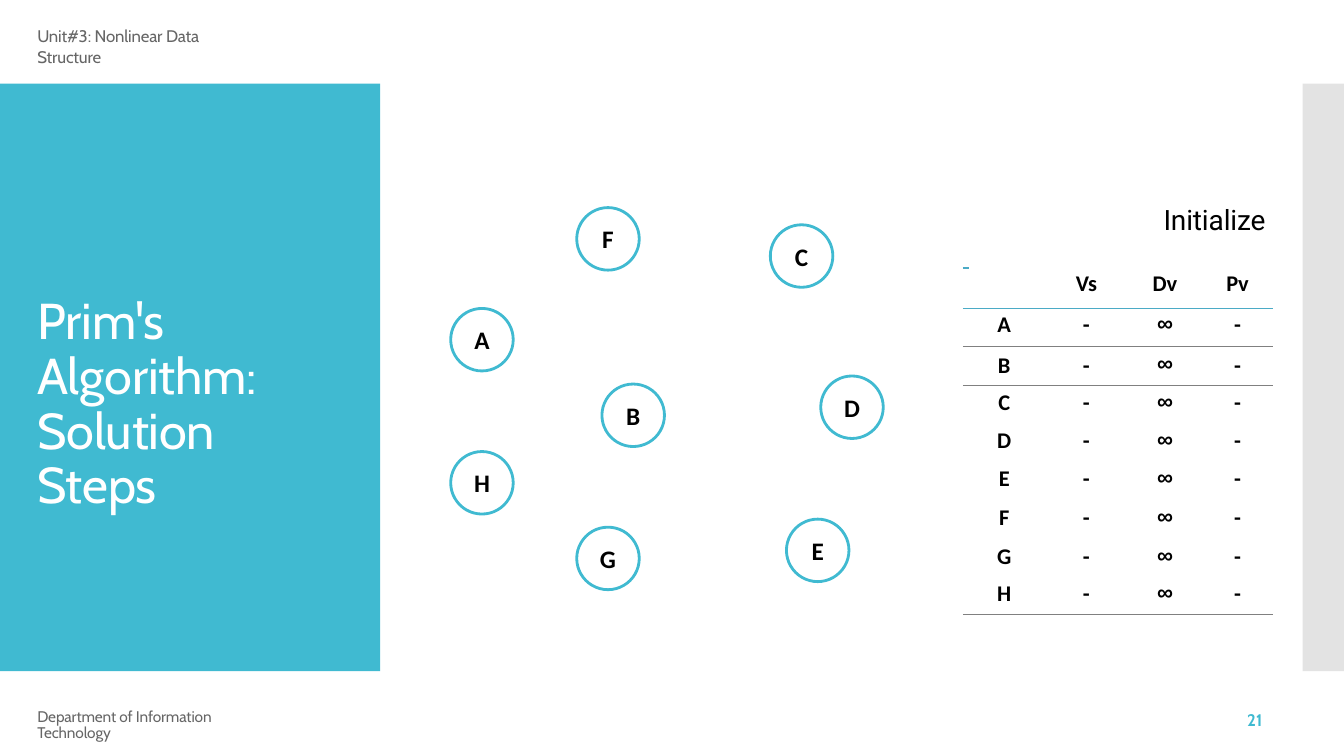
from pptx import Presentation
from pptx import util as u
from pptx.dml.color import RGBColor
from pptx.enum import shapes, text
from pptx.oxml import parse_xml
from pptx.oxml.ns import nsdecls

TEAL, RULE, GREY, BLACK, WHITE = "40BAD1", "4BABC6", "808080", "000000", "FFFFFF"
NO_GRID_STYLE = "{2D5ABB26-0587-4C30-8999-92F81FD0307C}"


def rgb(value):
    return RGBColor.from_string(value)


def write(frame, words, size=18, font="Calibri", color=BLACK, bold=False,
          align=text.PP_ALIGN.LEFT, before=0, leading=None, tracking=0):
    """Fill the frame's first paragraph; tracking is in hundredths of a point."""
    para = frame.paragraphs[0]
    para.alignment = align
    para.space_before = u.Pt(before)
    if leading:
        para.line_spacing = u.Pt(leading)
    span = para.add_run()
    span.text = words
    span.font.size = u.Pt(size)
    span.font.name = font
    span.font.bold = bold
    span.font.color.rgb = rgb(color)
    if tracking:
        span.font._element.set("spc", str(tracking))


def set_margins(target, left=0, top=0):
    target.margin_left, target.margin_top = u.Inches(left), u.Inches(top)
    target.margin_right = target.margin_bottom = 0


def rule_cell(cell, side, color, width):
    """Draw one cell edge; side is T or B."""
    edge = parse_xml(
        f'<a:ln{side} {nsdecls("a")} w="{u.Pt(width)}"><a:solidFill>'
        f'<a:srgbClr val="{color}"/></a:solidFill></a:ln{side}>')
    cell._tc.get_or_add_tcPr().insert(0, edge)


class SlideBuilder:
    def __init__(self, slide):
        self.shapes = slide.shapes

    def shape(self, kind, left, top, width, height, fill=None, line=None):
        shape = self.shapes.add_shape(kind, *map(u.Inches, (left, top, width, height)))
        shape.shadow.inherit = False
        if fill:
            shape.fill.solid()
            shape.fill.fore_color.rgb = rgb(fill)
        else:
            shape.fill.background()
        if line:
            shape.line.color.rgb = rgb(line)
            shape.line.width = u.Pt(2)
        else:
            shape.line.fill.background()
        return shape

    def panel(self, left, width, fill):
        self.shape(shapes.MSO_SHAPE.RECTANGLE, left, 0.83, width, 5.83, fill=fill)

    def node(self, letter, left, top):
        circle = self.shape(shapes.MSO_SHAPE.OVAL, left, top, 0.62, 0.62, line=TEAL)
        frame = circle.text_frame
        set_margins(frame)
        frame.vertical_anchor = text.MSO_ANCHOR.MIDDLE
        write(frame, letter, bold=True, align=text.PP_ALIGN.CENTER)

    def label(self, words, left, top, width, height, inset=0, **style):
        box = self.shapes.add_textbox(*map(u.Inches, (left, top, width, height)))
        frame = box.text_frame
        frame.word_wrap = True
        set_margins(frame, top=inset)
        write(frame, words, **style)

    def dash(self, left, top, width):
        line = self.shapes.add_connector(
            shapes.MSO_CONNECTOR.STRAIGHT,
            *map(u.Inches, (left, top, left + width, top)))
        line.line.color.rgb = rgb(RULE)
        line.line.width = u.Pt(1.5)
        line._element.spPr.append(parse_xml(f'<a:effectLst {nsdecls("a")}/>'))

    def vertex_table(self, headings, letters, left, top, widths):
        heights = [0.32] + [0.38] * len(letters)
        frame = self.shapes.add_table(
            len(heights), len(widths),
            *map(u.Inches, (left, top, sum(widths), sum(heights))))
        table = frame.table
        table.first_row = table.horz_banding = False
        table._tbl.tblPr.find("{*}tableStyleId").text = NO_GRID_STYLE
        for column, width in zip(table.columns, widths):
            column.width = u.Inches(width)
        for row, height in zip(table.rows, heights):
            row.height = u.Inches(height)

        insets = {"A": (0.03, 2.4), "B": (0.05, 3.5), "G": (0.05, 3.5)}
        grid = [headings] + [[letter, "-", "∞", "-"] for letter in letters]
        last = len(letters)
        for r, entries in enumerate(grid):
            inset, before = insets.get(entries[0], (0.04, 2.6)) if r else (0, 0)
            for c, (entry, indent) in enumerate(zip(entries, (0.02, 0.04, 0.03, 0))):
                cell = table.cell(r, c)
                set_margins(cell, indent, inset)
                cell.fill.background()
                write(cell.text_frame, entry, size=16, bold=True,
                      font="Arial" if entry == "∞" else "Calibri",
                      align=text.PP_ALIGN.CENTER, before=before,
                      leading=None if r else 15.2)
                if r == 0:
                    rule_cell(cell, "B", RULE, 1.5)
                elif r in (1, last):
                    rule_cell(cell, "B", GREY, 0.75)
                if r == 1:
                    rule_cell(cell, "T", RULE, 1.5)
                elif r == 2:
                    rule_cell(cell, "T", GREY, 0.75)


def main():
    deck = Presentation()
    deck.slide_width, deck.slide_height = u.Inches(13.33), u.Inches(7.5)
    page = SlideBuilder(deck.slides.add_slide(deck.slide_layouts[6]))

    page.panel(0, 3.77, TEAL)
    page.panel(12.92, 0.41, "E3E3E3")
    page.label("Unit#3: Nonlinear Data Structure", 0.37, 0.25, 2.2, 0.42, inset=0.01,
               size=12, font="Cabin", color="666666", before=1, tracking=-10)
    page.label("Prim's Algorithm: Solution Steps", 0.37, 2.85, 2.9, 2.3, inset=0.08,
               size=36, font="Cabin", color=WHITE, before=5.8, leading=39, tracking=-10)

    nodes = {"A": (4.47, 3.06), "B": (5.97, 3.81), "C": (7.64, 2.23), "D": (8.14, 3.73),
             "E": (7.8, 5.15), "F": (5.72, 2.06), "G": (5.72, 5.23), "H": (4.47, 4.48)}
    for letter, place in nodes.items():
        page.node(letter, *place)

    page.label("Initialize", 11.54, 1.96, 1.2, 0.4, inset=0.05,
               size=20, font="Roboto", before=3.9, tracking=-10)
    page.dash(9.55, 2.66, 0.06)
    page.vertex_table(["", "Vs", "Dv", "Pv"], list(nodes), 9.55, 2.74,
                      [0.8, 0.81, 0.76, 0.71])

    page.label("Department of Information Technology", 0.37, 7.04, 2.4, 0.34,
               size=11, font="Cabin", color="666666", leading=11.4, tracking=-10)
    page.label("21", 12.37, 7.07, 0.22, 0.19,
               size=12, font="Cabin", color=TEAL, bold=True, leading=12.3)
    deck.save("out.pptx")


if __name__ == "__main__":
    main()
